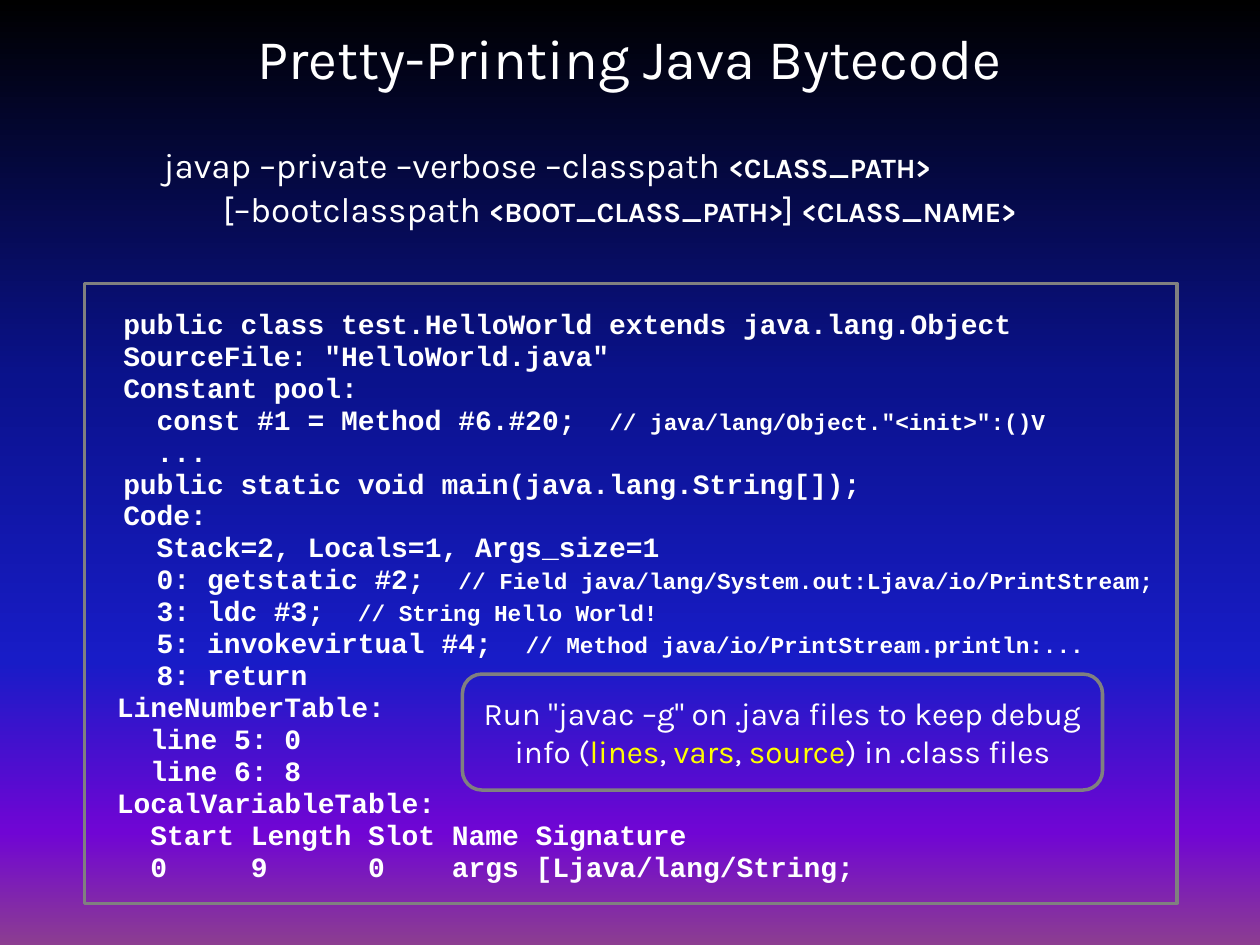
from typing import NamedTuple

import pptx
import pptx.dml.color
import pptx.enum.shapes
import pptx.enum.text
import pptx.oxml.ns
import pptx.util
from lxml import etree
from pptx.util import Inches

RGBColor = pptx.dml.color.RGBColor
Shapes = pptx.enum.shapes.MSO_SHAPE
Align = pptx.enum.text.PP_ALIGN
Anchor = pptx.enum.text.MSO_ANCHOR
qn = pptx.oxml.ns.qn

WHITE = RGBColor(0xFF, 0xFF, 0xFF)
YELLOW = RGBColor(0xFF, 0xFF, 0x00)
GRAY = RGBColor(0x80, 0x80, 0x80)
SKY = [
    (0, RGBColor(0x00, 0x00, 0x00)),
    (40, RGBColor(0x0A, 0x12, 0x8C)),
    (70, RGBColor(0x18, 0x1C, 0xC7)),
    (88, RGBColor(0x70, 0x05, 0xD4)),
    (100, RGBColor(0x8C, 0x3D, 0x91)),
]


class Area(NamedTuple):
    left: float
    top: float
    width: float
    height: float


class Style(NamedTuple):
    font: str
    size: float
    bold: bool = False
    align: Align = Align.LEFT
    line_points: float | None = None


class Span(NamedTuple):
    text: str
    size: float | None = None
    bold: bool | None = None
    color: RGBColor | None = None


class Line(NamedTuple):
    spans: list[Span]
    margin: float = 0


TITLE = Style("Karla", 32, align=Align.CENTER)
COMMAND = Style("Karla", 20, line_points=25)
CODE = Style("Courier New", 16, bold=True, line_points=18.2)
HINT = Style("Karla", 18, align=Align.CENTER)


def argument(text: str) -> Span:
    return Span(text, size=16, bold=True)


def code_line(text: str, comment: str = "", margin: float = 0) -> Line:
    spans = [Span(text)]
    if comment:
        spans.append(Span(comment, size=13))
    return Line(spans, margin)


def write(shape, lines: list[Line], style: Style) -> None:
    frame = shape.text_frame
    for index, line in enumerate(lines):
        para = frame.paragraphs[0] if index == 0 else frame.add_paragraph()
        para.alignment = style.align
        if style.line_points:
            para.line_spacing = pptx.util.Pt(style.line_points)
        if line.margin:
            properties = para._p.get_or_add_pPr()
            properties.set("marL", str(Inches(line.margin)))
            properties.set("indent", "0")
        para.font.name = style.font
        for part in line.spans:
            span = para.add_run()
            span.text = part.text
            span.font.name = style.font
            span.font.size = pptx.util.Pt(part.size or style.size)
            span.font.bold = style.bold if part.bold is None else part.bold
            span.font.color.rgb = part.color or WHITE


def add_text(page, area: Area, lines: list[Line], style: Style, wrap: bool = True):
    box = page.shapes.add_textbox(*map(Inches, area))
    box.text_frame.word_wrap = wrap
    write(box, lines, style)
    return box


def add_frame(page, kind: Shapes, area: Area):
    frame = page.shapes.add_shape(kind, *map(Inches, area))
    frame.shadow.inherit = False
    frame.fill.background()
    frame.line.color.rgb = GRAY
    frame.line.width = pptx.util.Pt(2)
    return frame


def paint_background(page) -> None:
    fill = page.background.fill
    fill.gradient()
    fill.gradient_angle = 270
    stops = next(page.element.iter(qn("a:gsLst")))
    for stop in list(stops):
        stops.remove(stop)
    for percent, color in SKY:
        stop = etree.SubElement(stops, qn("a:gs"), pos=str(percent * 1000))
        etree.SubElement(stop, qn("a:srgbClr"), val=str(color))


def main() -> None:
    deck = pptx.Presentation()
    deck.slide_width, deck.slide_height = Inches(10), Inches(7.5)
    page = deck.slides.add_slide(deck.slide_layouts[6])
    paint_background(page)

    # Title
    title = add_text(page, Area(0, 0.08, 10, 0.75),
                     [Line([Span("Pretty-Printing Java Bytecode")])], TITLE)
    title.text_frame.vertical_anchor = Anchor.MIDDLE

    # Command line
    add_text(page, Area(1.2, 1.08, 7.67, 0.8), [
        Line([Span("javap –private –verbose –classpath "), argument("<CLASS_PATH>")]),
        Line([Span("[–bootclasspath "), argument("<BOOT_CLASS_PATH>"),
              Span("] "), argument("<CLASS_NAME>")], margin=0.47),
    ], COMMAND)

    # Class listing
    listing = [
        ("public class test.HelloWorld extends java.lang.Object",),
        ('SourceFile: "HelloWorld.java"',),
        ("Constant pool:",),
        ("  const #1 = Method #6.#20;  ", '// java/lang/Object."<init>":()V'),
        ("  ...",),
        ("public static void main(java.lang.String[]);",),
        ("Code:",),
        ("  Stack=2, Locals=1, Args_size=1",),
        ("  0: getstatic #2;  ", "// Field java/lang/System.out:Ljava/io/PrintStream;"),
        ("  3: ldc #3;  ", "// String Hello World!"),
        ("  5: invokevirtual #4;  ", "// Method java/io/PrintStream.println:..."),
        ("  8: return",),
    ]
    add_text(page, Area(0.5, 2.4, 8.92, 3.14),
             [code_line(*row, margin=0.38) for row in listing], CODE)

    # Debug tables
    tables = [
        "LineNumberTable:",
        "  line 5: 0",
        "  line 6: 8",
        "LocalVariableTable:",
        "  Start Length Slot Name Signature",
        "  0     9      0    args [Ljava/lang/String;",
    ]
    add_text(page, Area(0.83, 5.44, 6.14, 1.64),
             [code_line(row) for row in tables], CODE, wrap=False)

    # Compiler hint
    hint = add_frame(page, Shapes.ROUNDED_RECTANGLE, Area(3.67, 5.35, 5.08, 0.92))
    hint.text_frame.word_wrap = False
    hint.text_frame.vertical_anchor = Anchor.MIDDLE
    write(hint, [
        Line([Span('Run "javac –g" on .java files to keep debug')]),
        Line([Span("info ("), Span("lines", color=YELLOW), Span(", "),
              Span("vars", color=YELLOW), Span(", "),
              Span("source", color=YELLOW), Span(") in .class files")]),
    ], HINT)

    # Listing border
    add_frame(page, Shapes.RECTANGLE, Area(0.67, 2.25, 8.67, 4.92))

    deck.save("out.pptx")


if __name__ == "__main__":
    main()
